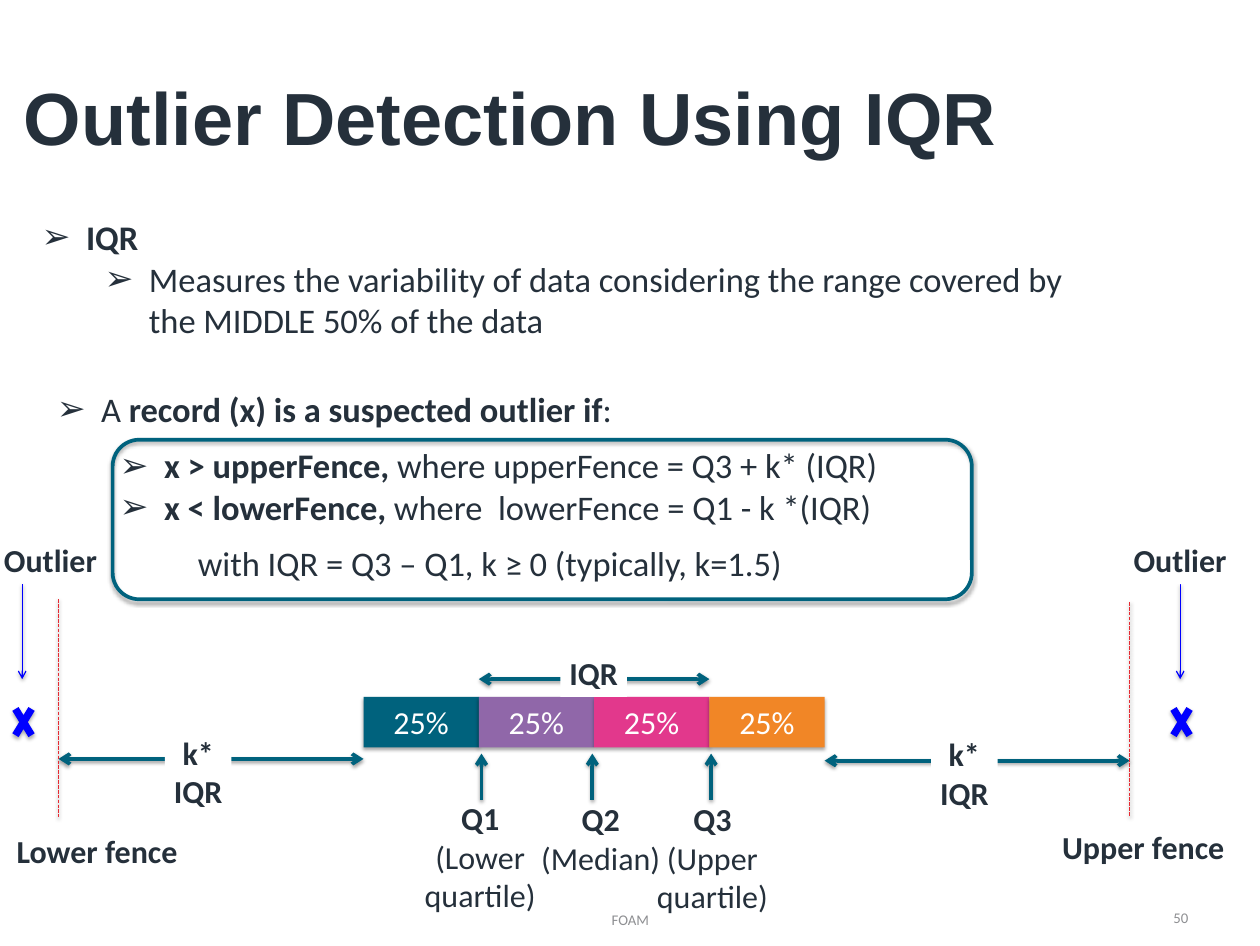
from dataclasses import dataclass

from lxml import etree
from pptx import Presentation
from pptx import util as u
from pptx.dml.color import RGBColor
from pptx.enum import dml, shapes, text
from pptx.oxml import ns

INK = RGBColor(0x25, 0x30, 0x3B)
GREY = RGBColor(0x8E, 0x8F, 0x92)
WHITE = RGBColor(0xFF, 0xFF, 0xFF)
TEAL = RGBColor(0x00, 0x62, 0x7D)
PURPLE = RGBColor(0x90, 0x67, 0xA9)
PINK = RGBColor(0xE2, 0x38, 0x8C)
ORANGE = RGBColor(0xF1, 0x86, 0x26)
BLUE = RGBColor(0x00, 0x00, 0xFF)
RED = RGBColor(0xE6, 0x2A, 0x32)

QUARTER_LEFT, QUARTER_WIDTH = 4.1, 1.3
LOWER_FENCE, UPPER_FENCE = 0.66, 12.74
CENTER = text.PP_ALIGN.CENTER


@dataclass
class Item:
    spans: list[tuple[str, bool]]
    level: int = 0
    margin: float = 0.5
    bullet: str = "➢"
    before: int = 0


@dataclass
class Label:
    lines: list[str]
    left: float
    top: float
    width: float
    height: float
    fill: RGBColor | None = None
    wrap: bool = True
    size: int = 26
    color: RGBColor = INK
    bold: bool = True
    align: text.PP_ALIGN = CENTER
    anchor: text.MSO_ANCHOR = text.MSO_ANCHOR.TOP


@dataclass
class Line:
    x1: float
    y1: float
    x2: float
    y2: float
    color: RGBColor = TEAL
    weight: float = 3
    ends: tuple[str, ...] = ("tailEnd",)
    dashed: bool = False


def place(shape, left: float, top: float, width: float, height: float) -> None:
    shape.left, shape.top = u.Inches(left), u.Inches(top)
    shape.width, shape.height = u.Inches(width), u.Inches(height)


def add_span(para, words: str, size: int, color: RGBColor, bold: bool, face: str = "Calibri") -> None:
    span = para.add_run()
    span.text = words
    span.font.name, span.font.size = face, u.Pt(size)
    span.font.bold, span.font.color.rgb = bold, color


def add_shadow(shape, alpha: int, distance: float) -> None:
    properties = shape._element.spPr
    for old in properties.findall(ns.qn("a:effectLst")):
        properties.remove(old)
    effects = etree.SubElement(properties, ns.qn("a:effectLst"))
    shadow = etree.SubElement(effects, ns.qn("a:outerShdw"), blurRad=str(u.Pt(3.1)),
                              dist=str(u.Pt(distance)), dir="5400000", rotWithShape="0")
    tint = etree.SubElement(shadow, ns.qn("a:srgbClr"), val="000000")
    etree.SubElement(tint, ns.qn("a:alpha"), val=str(alpha * 1000))


def fill_list(box, items: list[Item]) -> None:
    frame = box.text_frame
    frame.auto_size = text.MSO_AUTO_SIZE.NONE
    frame.vertical_anchor = text.MSO_ANCHOR.TOP
    for index, item in enumerate(items):
        para = frame.paragraphs[0] if index == 0 else frame.add_paragraph()
        para.level = item.level
        para.space_before = u.Pt(item.before)
        properties = para._p.get_or_add_pPr()
        properties.set("marL", str(u.Inches(item.margin)))
        properties.set("indent", str(u.Inches(-0.5 if item.bullet else 0)))
        if item.bullet:
            etree.SubElement(properties, ns.qn("a:buFont"), typeface="Arial")
            etree.SubElement(properties, ns.qn("a:buChar"), char=item.bullet)
        else:
            etree.SubElement(properties, ns.qn("a:buNone"))
        for words, bold in item.spans:
            add_span(para, words, 28, INK, bold)


def add_label(page, label: Label) -> None:
    box = page.shapes.add_textbox(0, 0, 0, 0)
    place(box, label.left, label.top, label.width, label.height)
    if label.fill is not None:
        box.fill.solid()
        box.fill.fore_color.rgb = label.fill
    frame = box.text_frame
    frame.word_wrap, frame.vertical_anchor = label.wrap, label.anchor
    for index, words in enumerate(label.lines):
        para = frame.paragraphs[0] if index == 0 else frame.add_paragraph()
        para.alignment = label.align
        add_span(para, words, label.size, label.color, label.bold and not words.startswith("("))


def add_line(page, line: Line) -> None:
    connector = page.shapes.add_connector(
        shapes.MSO_CONNECTOR.STRAIGHT,
        *(u.Inches(value) for value in (line.x1, line.y1, line.x2, line.y2)))
    connector.line.color.rgb = line.color
    connector.line.width = u.Pt(line.weight)
    if line.dashed:
        connector.line.dash_style = dml.MSO_LINE.SQUARE_DOT
    for end in line.ends:
        etree.SubElement(connector.line._get_or_add_ln(), ns.qn(f"a:{end}"), type="arrow")
    add_shadow(connector, 38, 1.6)


def add_block(page, kind: shapes.MSO_SHAPE, left: float, top: float, width: float,
              height: float, fill: RGBColor | None, words: str = "") -> None:
    block = page.shapes.add_shape(kind, 0, 0, 0, 0)
    place(block, left, top, width, height)
    block.shadow.inherit = False
    if fill is None:
        block.fill.background()
        block.line.color.rgb, block.line.width = TEAL, u.Pt(3)
    else:
        block.fill.solid()
        block.fill.fore_color.rgb = fill
        block.line.fill.background()
    add_shadow(block, 35, 1.8)
    if words:
        para = block.text_frame.paragraphs[0]
        para.alignment = CENTER
        add_span(para, words, 26, WHITE, False)


def main() -> None:
    deck = Presentation()
    deck.slide_width, deck.slide_height = u.Inches(14.21), u.Inches(10.67)
    page = deck.slides.add_slide(deck.slide_layouts[3])
    title, measure, rule = page.placeholders

    place(title, 0.13, 0.73, 14.08, 1.15)
    frame = title.text_frame
    frame.auto_size = text.MSO_AUTO_SIZE.NONE
    frame.vertical_anchor = text.MSO_ANCHOR.MIDDLE
    frame.margin_left = frame.margin_right = u.Inches(0.14)
    frame.paragraphs[0].alignment = text.PP_ALIGN.LEFT
    add_span(frame.paragraphs[0], "Outlier Detection Using IQR", 60, INK, True, "Arial")

    place(measure, 0.37, 2.39, 11.81, 1.51)
    fill_list(measure, [
        Item([("IQR", True)]),
        Item([("Measures the variability of data considering the range covered by "
               "the MIDDLE 50% of the data", False)], 1, 1.21)])
    place(rule, 0.54, 4.33, 11.81, 2.4)
    fill_list(rule, [
        Item([("A ", False), ("record (x) is a suspected outlier if", True), (":", False)]),
        Item([("x > upperFence, ", True), ("where upperFence = Q3 + k* (IQR)", False)], 1, 1.21, before=12),
        Item([("x < lowerFence, ", True), ("where  lowerFence = Q1 - k *(IQR)", False)], 1, 1.21),
        Item([("with IQR = Q3 – Q1, k ≥ 0 (typically, k=1.5)", False)], 1, 1.59, "", 12)])

    for index, color in enumerate((TEAL, PURPLE, PINK, ORANGE)):
        add_block(page, shapes.MSO_SHAPE.RECTANGLE, QUARTER_LEFT + index * QUARTER_WIDTH, 7.86,
                  QUARTER_WIDTH, 0.57, color, "25%")

    both = ("headEnd", "tailEnd")
    for line in (
        Line(5.4, 7.66, 8, 7.66, ends=both),
        Line(9.3, 8.58, UPPER_FENCE, 8.58, ends=both),
        Line(LOWER_FENCE, 8.56, QUARTER_LEFT, 8.56, ends=both),
        *(Line(x, 9.02, x, 8.5) for x in (5.43, 6.68, 8.02)),
        Line(UPPER_FENCE, 6.79, UPPER_FENCE, 9.2, RED, 1, (), True),
        Line(LOWER_FENCE, 6.76, LOWER_FENCE, 9.22, RED, 1, (), True),
        *(Line(x, 6.59, x, 7.66, BLUE, 1) for x in (0.25, 13.31)),
    ):
        add_line(page, line)

    for left in (0.09, 13.15):
        add_block(page, shapes.MSO_SHAPE.MATH_MULTIPLY, left, 7.86, 0.35, 0.57, BLUE)
    add_block(page, shapes.MSO_SHAPE.ROUNDED_RECTANGLE, 1.27, 4.96, 9.69, 1.8, None)

    middle = text.MSO_ANCHOR.MIDDLE
    for label in (
        Label(["IQR"], 6.32, 7.32, 0.75, 0.54, WHITE, False),
        Label(["k*", "IQR"], 10.5, 8.24, 0.75, 0.98, WHITE, False),
        Label(["k*", "IQR"], 1.86, 8.22, 0.75, 0.98, WHITE, False),
        Label(["Q1", "(Lower quartile)"], 4.64, 8.96, 1.55, 1.41),
        Label(["Q2", "(Median)"], 6, 8.97, 1.55, 0.98),
        Label(["Q3", "(Upper quartile)"], 7.26, 8.97, 1.55, 1.41),
        Label(["Lower fence"], -0.03, 9.33, 2.25, 0.54),
        Label(["Upper fence"], 11.78, 9.29, 2.23, 0.54, WHITE),
        Label(["Outlier"], 12.61, 6.05, 1.4, 0.54, WHITE),
        Label(["Outlier"], -0.13, 6.05, 1.4, 0.54),
        Label(["FOAM"], 4.86, 10.09, 4.5, 0.57, None, True, 12, GREY, False, CENTER, middle),
        Label(["50"], 10.18, 10.06, 3.32, 0.57, None, True, 12, GREY, False, text.PP_ALIGN.RIGHT, middle),
    ):
        add_label(page, label)

    deck.save("out.pptx")


if __name__ == "__main__":
    main()
